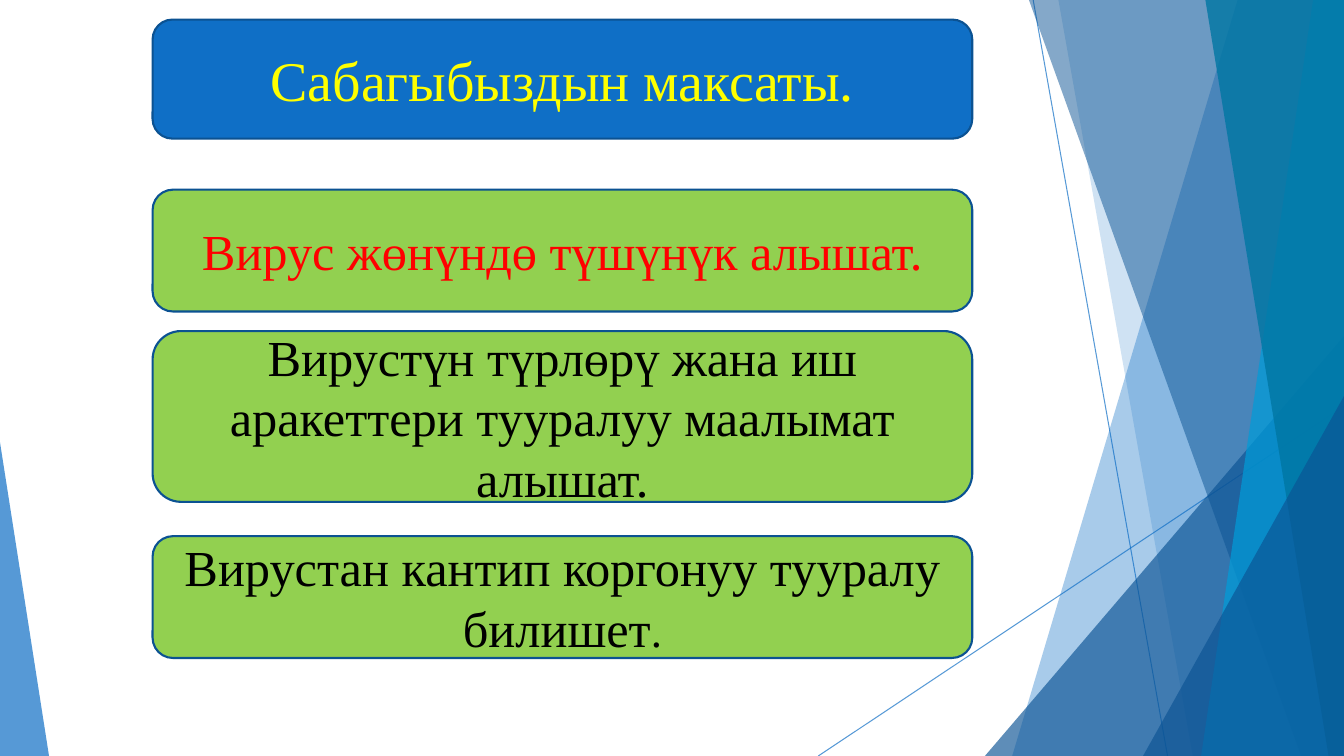
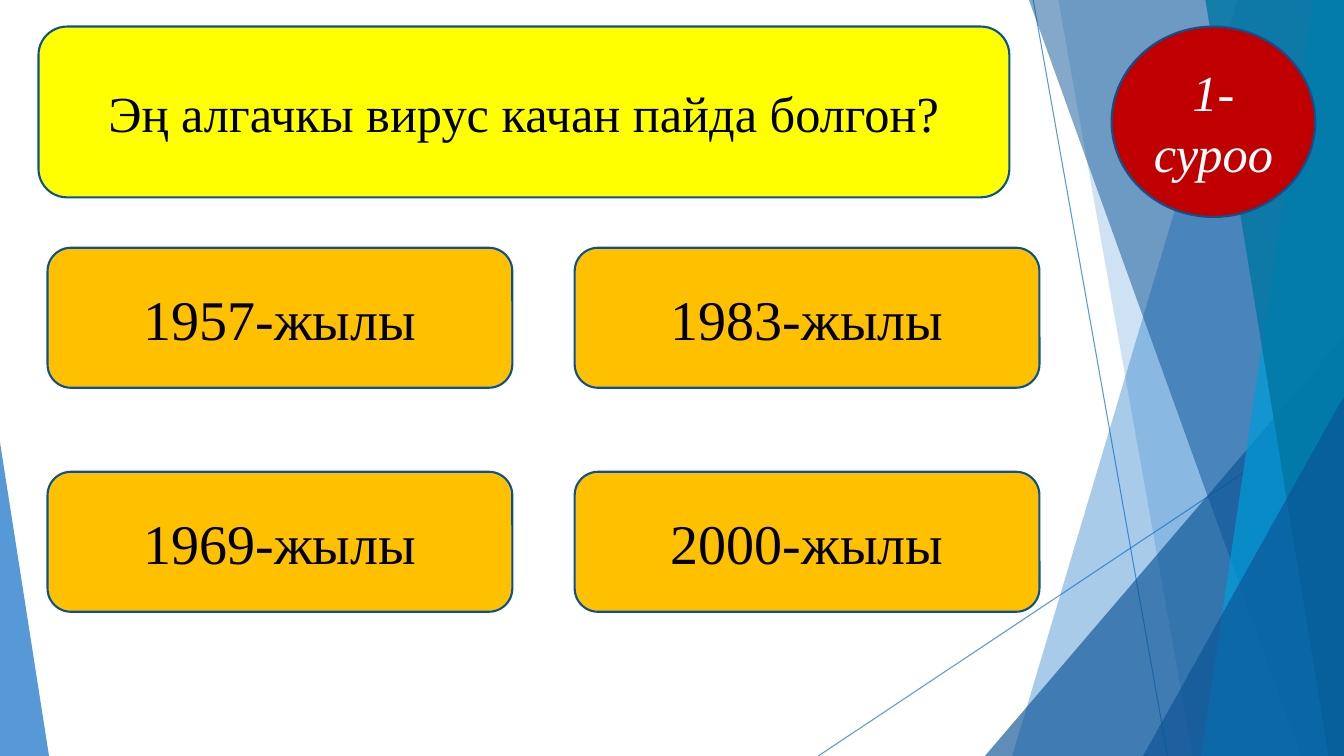
from dataclasses import dataclass
from itertools import product

from lxml.etree import SubElement
from pptx import Presentation
from pptx.dml.color import RGBColor as RGB
from pptx.enum.shapes import MSO_CONNECTOR as LINK, MSO_SHAPE as KIND
from pptx.enum.text import MSO_ANCHOR as ANCHOR, MSO_AUTO_SIZE as FIT, PP_ALIGN as ALIGN
from pptx.oxml.ns import qn
from pptx.util import Pt


@dataclass(frozen=True)
class Theme:
    font: str = "Times New Roman"
    big: int = 40
    mid: int = 36
    small: int = 32
    edge: str = "0B5292"
    blue: str = "0F6FC6"
    navy: str = "0B5394"
    sky: str = "009DD9"
    teal: str = "0076A3"
    green: str = "92D050"
    yellow: str = "FFFF00"
    gold: str = "FFC000"
    crimson: str = "C00000"
    red: str = "FF0000"
    black: str = "000000"
    white: str = "FFFFFF"


theme = Theme()
WIDE, HIGH = 960, 540


def write(shape, text, size, color):
    """Centre one styled paragraph in the shape and return it."""
    frame = shape.text_frame
    frame.word_wrap = True
    frame.auto_size = FIT.NONE
    frame.vertical_anchor = ANCHOR.MIDDLE
    line = frame.paragraphs[0]
    line.text = text
    line.alignment = ALIGN.CENTER
    line.font.name = theme.font
    line.font.size = Pt(size)
    line.font.color.rgb = RGB.from_string(color)
    return line


def card(slide, box, fill, kind=KIND.ROUNDED_RECTANGLE):
    shape = slide.shapes.add_shape(kind, *map(Pt, box))
    shape.shadow.inherit = False
    shape.fill.solid()
    shape.fill.fore_color.rgb = RGB.from_string(fill)
    shape.line.color.rgb = RGB.from_string(theme.edge)
    shape.line.width = Pt(1.5)
    return shape


deck = Presentation()
deck.slide_width, deck.slide_height = Pt(WIDE), Pt(HIGH)
layout = deck.slide_layouts.get_by_name("Title Only")
for holder in list(layout.placeholders)[1:]:
    holder.element.getparent().remove(holder.element)
goals, quiz = [deck.slides.add_slide(layout) for _ in range(2)]

# Backdrop, drawn once and moved to the shared layout
rays = [(738, 0, 834, HIGH), (WIDE, 290, 584.5, HIGH)]
# Bands give top and bottom x of the left edge; wedges give box and apex
facets = [
    ((884, 723), None, theme.blue, 36),
    ((756, 852), None, theme.blue, 20),
    ((703.5, 240, 256.5, 300), 1, theme.navy, 66),
    ((735, 929.5), None, theme.navy, 50),
    ((938, 858), None, theme.sky, 70),
    ((861, 949), None, theme.teal, 80),
    ((816.5, 283, 143.5, 257), 1, theme.navy, 66),
    ((0, 316, 35, 224), 0, theme.blue, 70),
]
parts = []
for ends in rays:
    ray = goals.shapes.add_connector(LINK.STRAIGHT, *map(Pt, ends))
    ray.line.width = Pt(0.75)
    parts.append((ray, ray.line.fill, theme.blue, 70))
for place, apex, color, alpha in facets:
    if apex is None:
        top, base = place
        pen = goals.shapes.build_freeform(Pt(top), 0)
        spots = [(WIDE, 0), (WIDE, HIGH), (base, HIGH)]
        pen.add_line_segments([(Pt(x), Pt(y)) for x, y in spots])
        facet = pen.convert_to_shape()
    else:
        facet = goals.shapes.add_shape(KIND.ISOSCELES_TRIANGLE, *map(Pt, place))
        facet.adjustments[0] = apex
    facet.line.fill.background()
    parts.append((facet, facet.fill, color, alpha))
for part, fill, color, alpha in parts:
    fill.solid()
    fill.fore_color.rgb = RGB.from_string(color)
    tint = part.element.find(".//" + qn("a:srgbClr"))
    SubElement(tint, qn("a:alpha"), val=str(alpha * 1000))
    SubElement(part.element.spPr, qn("a:effectLst"))
    layout.shapes.element.append(part.element)

# Titles, each on its own card
heads = [
    (goals, "Сабагыбыздын максаты.", (109, 14, 585.5, 85), theme.blue, theme.big, theme.yellow),
    (quiz, "Эң алгачкы вирус качан пайда болгон?", (27.5, 19, 693.5, 122),
     theme.yellow, theme.mid, theme.black),
]
for slide, text, box, fill, size, color in heads:
    card(slide, box, fill)
    title = slide.shapes.title
    title.left, title.top, title.width, title.height = map(Pt, box)
    write(title, text, size, color)
    slide.shapes.element.append(title.element)

# Lesson goals
aims = [
    (135.5, 87, "Вирус жөнүндө түшүнүк алышат.", theme.red),
    (236.5, 122, "Вирустүн түрлөрү жана иш аракеттери тууралуу маалымат алышат.", theme.black),
    (383, 87, "Вирустан кантип коргонуу тууралу билишет", theme.black),
]
for top, tall, text, color in aims:
    aim = write(card(goals, (109, top, 585.5, tall), theme.green), text, theme.mid, color)
dot = aim.add_run()
dot.text = "."
dot.font.size = Pt(theme.small)

# Answers by column, then the question badge
years = [1957, 1969, 1983, 2000]
for year, (col, row) in zip(years, product(range(2), repeat=2)):
    box = (34 + 376.5 * col, 177 + 160 * row, 332, 100)
    write(card(quiz, box, theme.gold), f"{year}-жылы", theme.big, theme.black)
badge = card(quiz, (794, 19, 145.5, 136), theme.crimson, KIND.OVAL)
write(badge, "1-суроо", theme.mid, theme.white).font.italic = True

deck.save("out.pptx")
